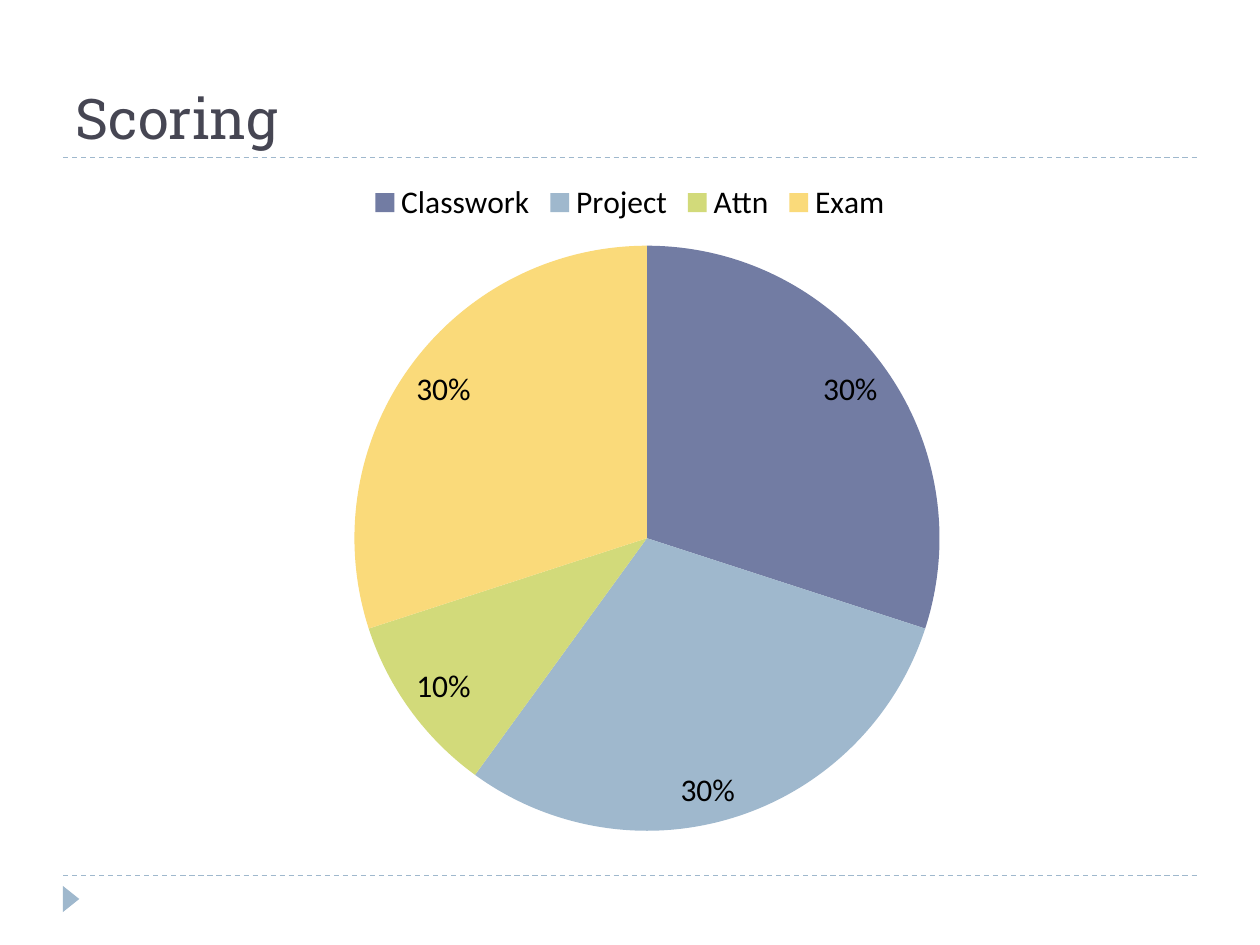
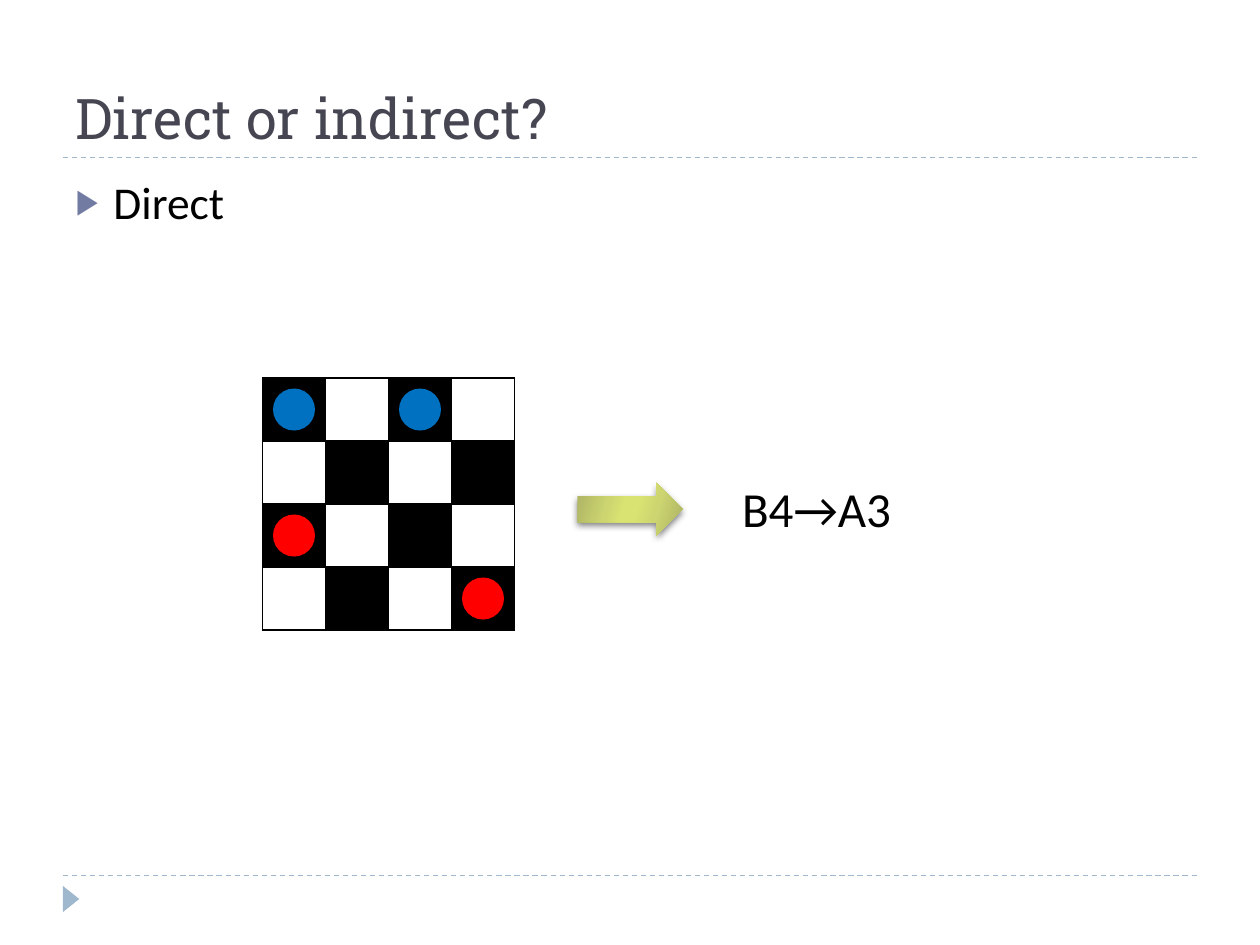
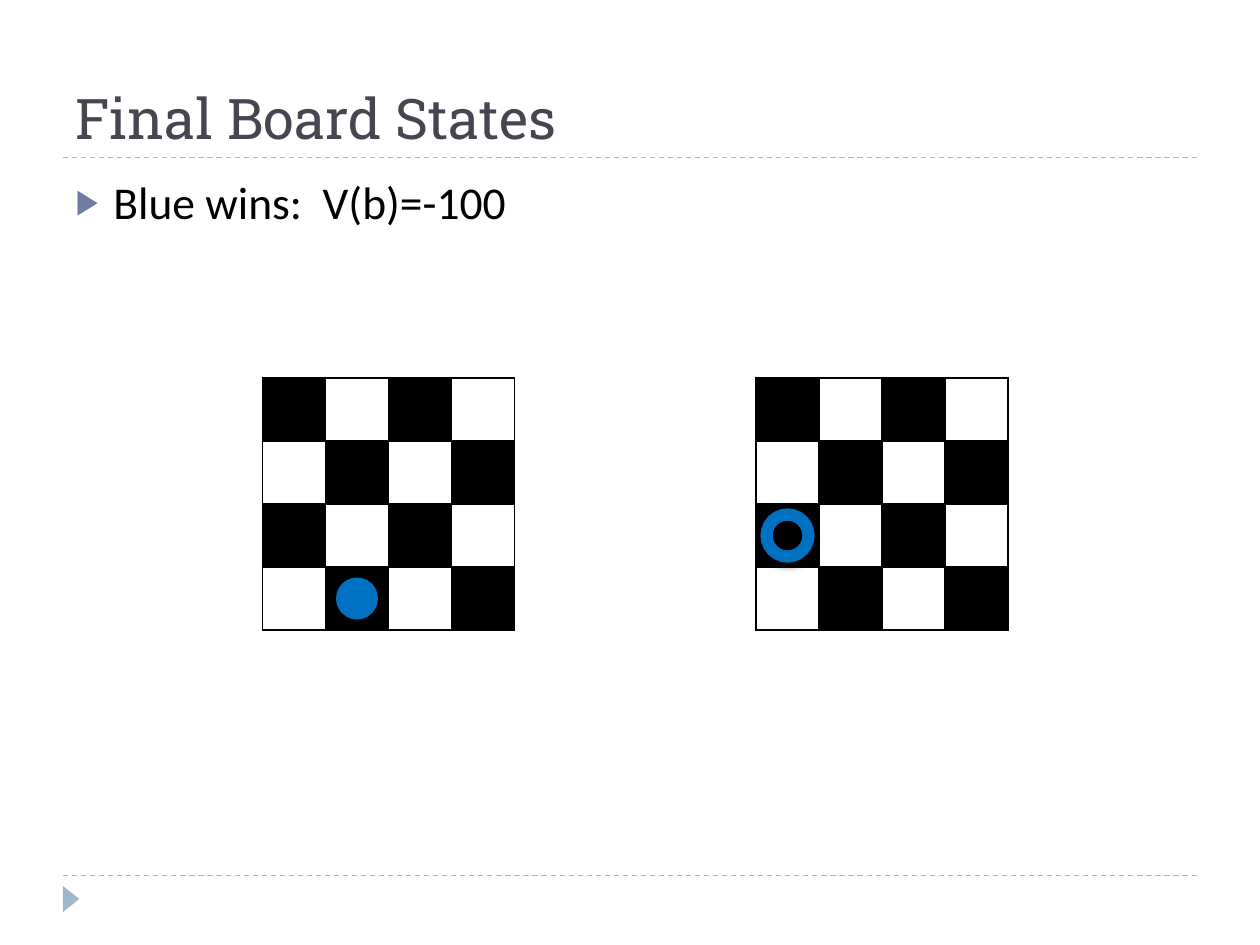
"""Build three course slides: a scoring pie chart and two checkers board slides."""
from lxml import etree
from pptx import Presentation
from pptx import util as u
from pptx.chart import data as chart_data
from pptx.dml import color
from pptx.enum import chart as chart_enum, dml, shapes, text
from pptx.oxml import ns

COLORS = {
    "title": "464653", "text": "000000", "rule": "9FB8CD", "bullet": "727CA3",
    "dark": "000000", "light": "FFFFFF", "blue": "0070C0", "red": "FF0000",
}
SLICES = [("Classwork", 30, "727CA3"), ("Project", 30, "9FB8CD"),
          ("Attn", 10, "D2DA7A"), ("Exam", 30, "FADA7A")]
ARROW_STOPS = [(0, "ACB264"), (30, "CCD570"), (45, "D9E371"),
               (55, "D9E371"), (73, "CCD570"), (100, "ACB264")]
RGB = {name: color.RGBColor.from_string(value) for name, value in COLORS.items()}
SQUARE, PIECE, BOARD_TOP = 36, 24, 216
LEFT_BOARD, RIGHT_BOARD = 150, 432


def add_node(parent, tag, **attributes):
    """Append a DrawingML or chart element with the given attributes."""
    node = etree.SubElement(parent, ns.qn(tag))
    for name, value in attributes.items():
        node.set(name, str(value))
    return node


def add_shadowed(slide, kind, left, top, width, height):
    """Add an outline-free shape with a soft shadow below it."""
    shape = slide.shapes.add_shape(kind, u.Pt(left), u.Pt(top), u.Pt(width), u.Pt(height))
    shape.line.fill.background()
    shape.shadow.inherit = False
    effects = shape.element.spPr.find(ns.qn("a:effectLst"))
    shadow = add_node(effects, "a:outerShdw", blurRad=u.Pt(4), dist=u.Pt(2),
                      dir=90 * 60000, rotWithShape=0)
    shadow_color = add_node(shadow, "a:srgbClr", val=COLORS["dark"])
    add_node(shadow_color, "a:alpha", val=50000)
    return shape


presentation = Presentation()
presentation.slide_width, presentation.slide_height = u.Pt(720), u.Pt(540)
master_tree = presentation.slide_master.shapes.element

pages = [("Scoring", None), ("Direct or indirect?", "Direct"),
         ("Final Board States", "Blue wins:  V(b)=-100")]
slides = []
for title_text, body_text in pages:
    slide = presentation.slides.add_slide(presentation.slide_layouts[1 if body_text else 5])
    slides.append(slide)
    title = slide.shapes.title
    title.left, title.top, title.width, title.height = u.Pt(36), u.Pt(12), u.Pt(648), u.Pt(78)
    frame = title.text_frame
    frame.text = title_text
    frame.auto_size = text.MSO_AUTO_SIZE.NONE
    frame.vertical_anchor = text.MSO_ANCHOR.BOTTOM
    paragraph = frame.paragraphs[0]
    paragraph.alignment = text.PP_ALIGN.LEFT
    font = paragraph.runs[0].font
    font.name, font.size, font.color.rgb = "Roboto Slab", u.Pt(32), RGB["title"]
    if not body_text:
        continue
    body = slide.placeholders[1]
    body.left, body.top, body.width, body.height = u.Pt(36), u.Pt(96), u.Pt(648), u.Pt(389)
    frame = body.text_frame
    frame.text = body_text
    frame.auto_size = text.MSO_AUTO_SIZE.NONE
    paragraph = frame.paragraphs[0]
    paragraph.space_before = u.Pt(6)
    font = paragraph.runs[0].font
    font.name, font.size, font.color.rgb = "Calibri", u.Pt(26), RGB["text"]
    properties = paragraph._p.get_or_add_pPr()
    properties.set("marL", str(u.Pt(21.6)))
    properties.set("indent", str(u.Pt(-21.6)))
    add_node(add_node(properties, "a:buClr"), "a:srgbClr", val=COLORS["bullet"])
    add_node(properties, "a:buSzPct", val=76000)
    add_node(properties, "a:buChar", char="▶")

scoring, direct, final = slides

for rule_top in (500.4, 90):
    rule = scoring.shapes.add_connector(shapes.MSO_CONNECTOR.STRAIGHT, u.Pt(36), u.Pt(rule_top),
                                        u.Pt(684), u.Pt(rule_top))
    rule.line.color.rgb = RGB["rule"]
    rule.line.width = u.Pt(0.75)
    rule.line.dash_style = dml.MSO_LINE.DASH
    add_node(rule.element.spPr, "a:effectLst")
    master_tree.append(rule.element)
marker = scoring.shapes.add_shape(shapes.MSO_SHAPE.ISOSCELES_TRIANGLE, u.Pt(33.1), u.Pt(509),
                                  u.Pt(15), u.Pt(9.4))
marker.rotation = 90
marker.shadow.inherit = False
marker.fill.solid()
marker.fill.fore_color.rgb = RGB["rule"]
marker.line.fill.background()
master_tree.append(marker.element)

scores = chart_data.CategoryChartData()
scores.categories = [name for name, value, fill in SLICES]
scores.add_series("Series 1", [value for name, value, fill in SLICES])
chart = scoring.shapes.add_chart(chart_enum.XL_CHART_TYPE.PIE, u.Pt(36), u.Pt(96),
                                 u.Pt(648), u.Pt(389), scores).chart
chart.has_title = False
chart.font.name, chart.font.size, chart.font.color.rgb = "Calibri", u.Pt(18), RGB["text"]
chart.has_legend = True
chart.legend.position = chart_enum.XL_LEGEND_POSITION.TOP
chart.legend.include_in_layout = False
plot = chart.plots[0]
plot.vary_by_categories = True
plot.has_data_labels = True
labels = plot.data_labels
labels.show_percentage, labels.show_value = True, False
labels.number_format, labels.number_format_is_linked = "0%", False
labels.position = chart_enum.XL_LABEL_POSITION.INSIDE_END
for index, (name, value, fill) in enumerate(SLICES):
    point = plot.series[0].points[index]
    point.format.fill.solid()
    point.format.fill.fore_color.rgb = color.RGBColor.from_string(fill)
    point.format.line.fill.background()
plot_area = chart._chartSpace.chart.plotArea
for layout in plot_area.findall(ns.qn("c:layout")):
    plot_area.remove(layout)
layout = etree.Element(ns.qn("c:layout"))
plot_area.insert(0, layout)
manual = add_node(layout, "c:manualLayout")
for tag, value in (("layoutTarget", "inner"), ("xMode", "edge"), ("yMode", "edge"),
                   ("x", 0.257), ("y", 0.114), ("w", 0.516), ("h", 0.86)):
    add_node(manual, f"c:{tag}", val=value)

boards = [
    (direct, LEFT_BOARD, [(0, 0, "blue"), (0, 2, "blue"), (3, 3, "red"), (2, 0, "red")], False),
    (final, LEFT_BOARD, [(3, 1, "blue")], False),
    (final, RIGHT_BOARD, [(2, 0, "blue")], True),
]
for slide, board_left, pieces, hollow in boards:
    board = slide.shapes.add_table(4, 4, u.Pt(board_left), u.Pt(BOARD_TOP),
                                   u.Pt(4 * SQUARE), u.Pt(4 * SQUARE)).table
    board.first_row = board.horz_banding = False
    for row in range(4):
        for column in range(4):
            cell = board.cell(row, column)
            properties = cell._tc.get_or_add_tcPr()
            for side in "LRTB":
                border = add_node(properties, f"a:ln{side}", w=u.Pt(1))
                add_node(add_node(border, "a:solidFill"), "a:srgbClr", val=COLORS["dark"])
            cell.fill.solid()
            cell.fill.fore_color.rgb = RGB["light" if (row + column) % 2 else "dark"]
    margin = (SQUARE - PIECE) / 2
    for row, column, name in pieces:
        piece = add_shadowed(slide, shapes.MSO_SHAPE.OVAL, board_left + column * SQUARE + margin,
                             BOARD_TOP + row * SQUARE + margin, PIECE, PIECE)
        if hollow:
            piece.fill.background()
            piece.line.color.rgb = RGB[name]
            piece.line.width = u.Pt(7)
        else:
            piece.fill.solid()
            piece.fill.fore_color.rgb = RGB[name]

arrow = add_shadowed(direct, shapes.MSO_SHAPE.RIGHT_ARROW, 330, 276, 60, 30)
arrow.fill.gradient()
arrow.fill.gradient_angle = 344
stops = arrow.element.spPr.find(ns.qn("a:gradFill")).find(ns.qn("a:gsLst"))
for stop in list(stops):
    stops.remove(stop)
for position, value in ARROW_STOPS:
    add_node(add_node(stops, "a:gs", pos=position * 1000), "a:srgbClr", val=value)

move = direct.shapes.add_textbox(u.Pt(417), u.Pt(270), u.Pt(105), u.Pt(41))
move.text_frame.text = "B4→A3"
move.text_frame.word_wrap = False
move.text_frame.auto_size = text.MSO_AUTO_SIZE.SHAPE_TO_FIT_TEXT
font = move.text_frame.paragraphs[0].runs[0].font
font.name, font.size, font.color.rgb = "Calibri", u.Pt(28), RGB["text"]

presentation.save("out.pptx")
